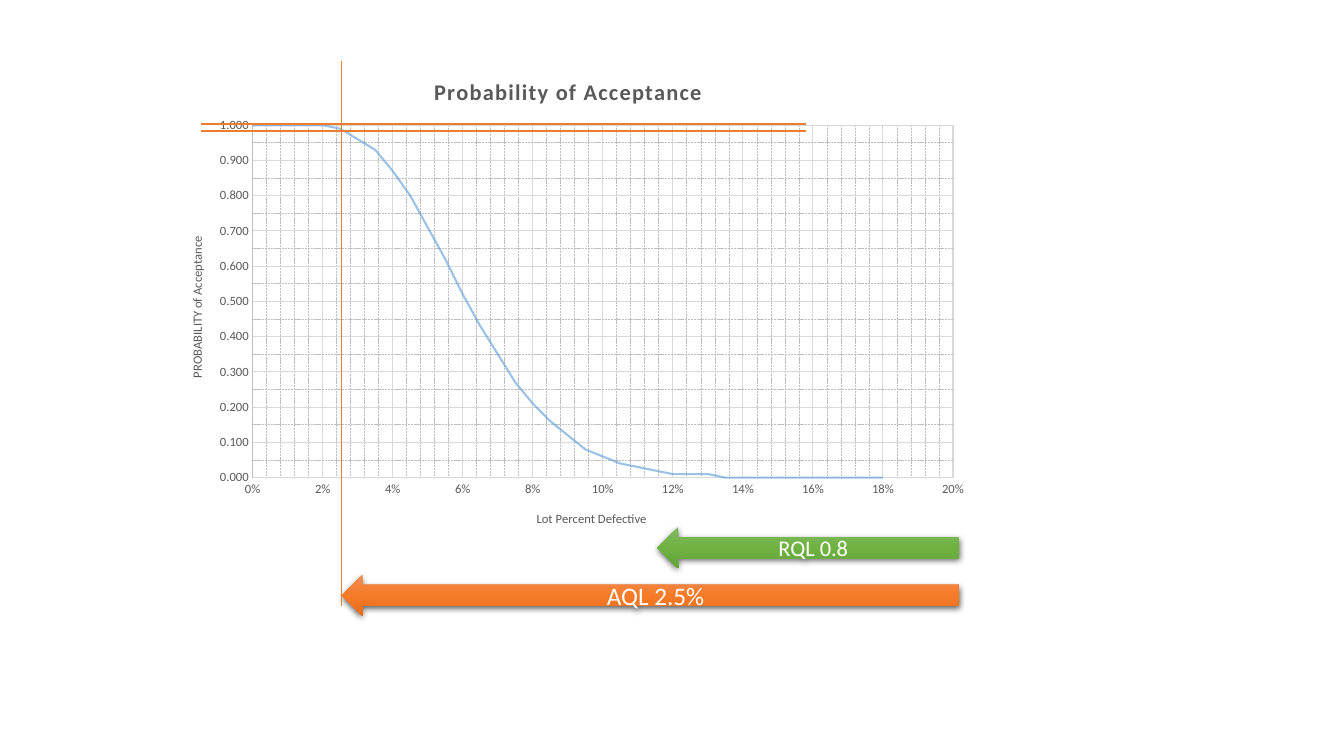
from dataclasses import dataclass

from lxml import etree
from pptx import Presentation
from pptx.chart.data import XyChartData
from pptx.dml.color import RGBColor
from pptx.enum.chart import XL_CHART_TYPE as ChartType, XL_TICK_MARK as Tick
from pptx.enum.shapes import MSO_CONNECTOR as Connector, MSO_SHAPE as Shape
from pptx.enum.text import MSO_ANCHOR as Anchor, PP_ALIGN as Align
from pptx.oxml.ns import qn
from pptx.util import Inches, Pt


@dataclass(frozen=True)
class Theme:
    font: str = "Calibri"
    text: str = "595959"
    white: str = "FFFFFF"
    curve: str = "5B9BD5"
    grid: str = "D9D9D9"
    axis: str = "BFBFBF"
    guide: str = "ED7D31"
    green: tuple = ("81B861", "6FB242", "62A336")
    orange: tuple = ("F18C57", "F67B28", "E56C19")
    title_size: int = 16
    label_size: int = 9
    axis_title_size: int = 9


T = Theme()

ACCEPTANCE = [
    1, 1, 1, 1, 1, 0.99, 0.96, 0.93, 0.87, 0.8, 0.71, 0.62, 0.52, 0.43, 0.35,
    0.27, 0.21, 0.16, 0.12, 0.08, 0.06, 0.04, 0.03, 0.02, 0.01, 0.01, 0.01,
] + [0] * 10
STEP = 0.005


def sub(parent, tag, **attrs):
    el = etree.SubElement(parent, qn(tag))
    for name, value in attrs.items():
        el.set(name, str(value))
    return el


def set_font(font, size, color=T.text, bold=False):
    font.name, font.size, font.bold = T.font, Pt(size), bold
    font.color.rgb = RGBColor.from_string(color)


def set_line(line, color, width):
    line.color.rgb = RGBColor.from_string(color)
    line.width = Pt(width)


def write(tf, text, size, color=T.text, bold=False):
    p = tf.paragraphs[0]
    p.alignment = Align.CENTER
    r = p.add_run()
    r.text = text
    set_font(r.font, size, color, bold)
    return r


def place(parent, index, **fractions):
    """Fix a chart part at fractions of the chart area."""
    layout = parent.find(qn("c:layout"))
    if layout is None:
        layout = etree.Element(qn("c:layout"))
        parent.insert(index, layout)
    manual = sub(layout, "c:manualLayout")
    if "w" in fractions:
        sub(manual, "c:layoutTarget", val="inner")
    for name in ("xMode", "yMode"):
        sub(manual, f"c:{name}", val="edge")
    for name, value in fractions.items():
        sub(manual, f"c:{name}", val=value)


def dash_minor_gridlines(axis):
    axis.has_minor_gridlines = True
    gridlines = axis._element.find(qn("c:minorGridlines"))
    ln = sub(sub(gridlines, "c:spPr"), "a:ln", w=Pt(0.5))
    sub(sub(ln, "a:solidFill"), "a:srgbClr", val=T.axis)
    sub(ln, "a:prstDash", val="sysDash")


def format_axis(axis, title, title_at, top, major, minor, number_format, color):
    axis.minimum_scale, axis.maximum_scale = 0, top
    axis.major_unit, axis.minor_unit = major, minor
    axis.major_tick_mark = axis.minor_tick_mark = Tick.NONE
    axis.has_major_gridlines = True
    set_line(axis.major_gridlines.format.line, T.grid, 0.75)
    dash_minor_gridlines(axis)
    set_line(axis.format.line, color, 0.75)
    labels = axis.tick_labels
    labels.number_format, labels.number_format_is_linked = number_format, False
    set_font(labels.font, T.label_size)
    write(axis.axis_title.text_frame, title, T.axis_title_size)
    place(axis.axis_title._element, 1, **title_at)


def acceptance_chart(s, x, y, w, h):
    data = XyChartData()
    series = data.add_series("Probability of Acceptance")
    for i, probability in enumerate(ACCEPTANCE):
        series.add_data_point(round(i * STEP, 3), probability)
    chart = s.shapes.add_chart(
        ChartType.XY_SCATTER_SMOOTH_NO_MARKERS,
        Inches(x), Inches(y), Inches(w), Inches(h), data).chart
    chart.has_legend = False
    set_font(chart.font, T.label_size)

    # Title and plot area
    chart.has_title = True
    r = write(chart.chart_title.text_frame, "Probability of Acceptance",
              T.title_size, bold=True)
    r._r.get_or_add_rPr().set("spc", "100")
    place(chart._chartSpace.chart.plotArea, 0, x=0.128, y=0.141, w=0.826, h=0.744)

    # Axes
    format_axis(chart.category_axis, "Lot Percent Defective",
                dict(x=0.46, y=0.95), 0.2, 0.02, 0.004, "0%", T.grid)
    format_axis(chart.value_axis, "PROBABILITY of Acceptance",
                dict(x=0.05, y=0.37), 1, 0.1, 0.05, "0.000", T.axis)

    # Curve
    plot = chart.plots[0]
    plot.vary_by_categories = False
    curve = plot.series[0]
    curve.smooth = True
    set_line(curve.format.line, T.curve, 1.5)
    color = next(curve._element.iter(qn("a:srgbClr")))
    sub(color, "a:alpha", val=60000)


def level_arrow(s, x, y, w, h, text, size, colors):
    sp = s.shapes.add_shape(Shape.LEFT_ARROW, Inches(x), Inches(y),
                            Inches(w), Inches(h))
    sp.line.fill.background()

    # Vertical gradient of three stops
    sp.fill.gradient()
    sp.fill.gradient_angle = 270
    stops = next(sp._element.spPr.iter(qn("a:gsLst")))
    for stop in list(stops):
        stops.remove(stop)
    for i, color in enumerate(colors):
        sub(sub(stops, "a:gs", pos=i * 50000), "a:srgbClr", val=color)

    # Soft shadow below
    sp.shadow.inherit = False
    shadow = sub(sp._element.spPr.find(qn("a:effectLst")), "a:outerShdw",
                 blurRad=Pt(4.5), dist=Pt(1.5), dir=5400000,
                 algn="ctr", rotWithShape=0)
    sub(sub(shadow, "a:srgbClr", val="000000"), "a:alpha", val=63000)

    tf = sp.text_frame
    tf.word_wrap = True
    tf.vertical_anchor = Anchor.MIDDLE
    write(tf, text, size, T.white)


def level_arrows(s, right, y, h, pitch):
    levels = [("RQL 0.8", 16, 2.99, T.green), ("AQL 2.5%", 18, 6.12, T.orange)]
    for i, (text, size, w, colors) in enumerate(levels):
        level_arrow(s, right - w, y + i * pitch, w, h, text, size, colors)


def guide_lines(s, x, y, w, h):
    across = [(x, y + dy, x + w, y + dy) for dy in (0.69, 0.62)]
    down = (x + 1.4, y, x + 1.4, y + h)
    for ends in (*across, down):
        line = s.shapes.add_connector(Connector.STRAIGHT, *map(Inches, ends))
        set_line(line.line, T.guide, 1)
        sub(line._element.spPr, "a:effectLst")


def main():
    prs = Presentation()
    prs.slide_width, prs.slide_height = Inches(13.33), Inches(7.5)
    s = prs.slides.add_slide(prs.slide_layouts[6])
    acceptance_chart(s, 1.43, 0.58, 8.41, 4.7)
    level_arrows(s, right=9.51, y=5.23, h=0.41, pitch=0.47)
    guide_lines(s, 1.99, 0.61, 6, 5.4)
    prs.save("out.pptx")


if __name__ == "__main__":
    main()
